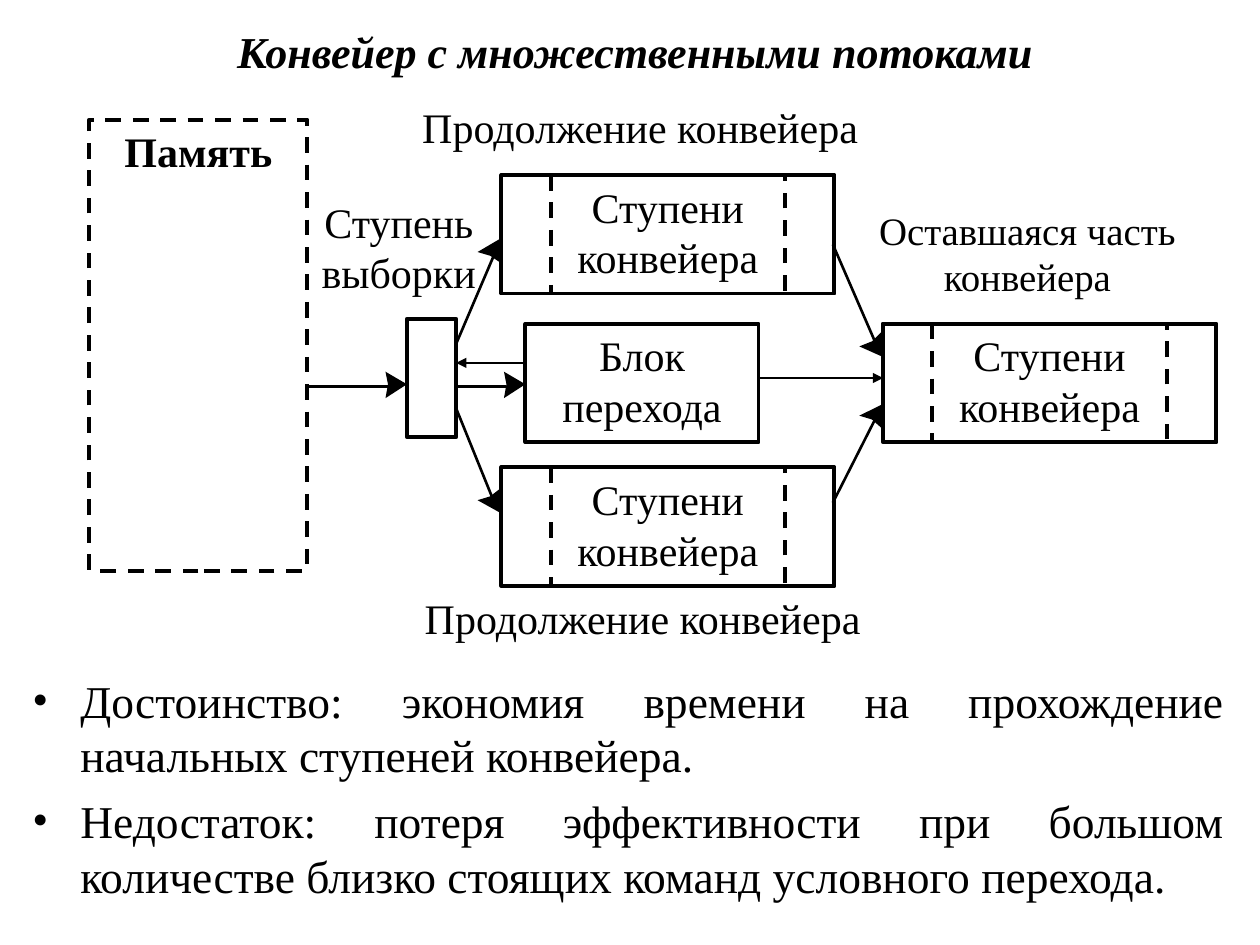
from lxml import etree
from pptx import Presentation
from pptx import util as u
from pptx.dml import color
from pptx.enum import dml, shapes, text
from pptx.oxml import ns

BLACK = "000000"
FONT = "Times New Roman"
BOX_HEIGHT = 0.94
END_WIDTH = 0.39
STAGES_WIDTH = 2.64


def rgb(value):
    return color.RGBColor.from_string(value)


def write(shape, lines, size=24, bold=False, italic=False, align=text.PP_ALIGN.CENTER):
    frame = shape.text_frame
    frame.word_wrap = True
    frame.vertical_anchor = text.MSO_ANCHOR.TOP
    frame.text = lines
    for paragraph in frame.paragraphs:
        paragraph.alignment = align
        for run in paragraph.runs:
            run.font.name = FONT
            run.font.size = u.Pt(size)
            run.font.bold = bold
            run.font.italic = italic
            run.font.color.rgb = rgb(BLACK)
    return frame


def add_label(slide, box, words, **style):
    return write(slide.shapes.add_textbox(*map(u.Inches, box)), words, **style)


def add_box(parent, box, words="", dashed=False, bold=False):
    shape = parent.shapes.add_shape(shapes.MSO_SHAPE.RECTANGLE, *map(u.Inches, box))
    shape.shadow.inherit = False
    shape.fill.background()
    shape.line.color.rgb = rgb(BLACK)
    shape.line.width = u.Pt(2.24)
    if dashed:
        shape.line.dash_style = dml.MSO_LINE.DASH
    if words:
        write(shape, words, bold=bold)


def add_stages(slide, left, top):
    group = slide.shapes.add_group_shape()
    add_box(group, (left, top, STAGES_WIDTH, BOX_HEIGHT), "Ступени конвейера")
    for end_left in (left, left + STAGES_WIDTH - END_WIDTH):
        add_box(group, (end_left, top, END_WIDTH, BOX_HEIGHT), dashed=True)


def add_line(slide, start, end, width=1.5, arrow=False):
    line = slide.shapes.add_connector(
        shapes.MSO_CONNECTOR.STRAIGHT, *map(u.Inches, start + end))
    line.line.color.rgb = rgb(BLACK)
    line.line.width = u.Pt(width)
    properties = line._element.spPr
    if arrow:
        outline = line.line._get_or_add_ln()
        etree.SubElement(outline, ns.qn("a:tailEnd"), type="triangle")
    etree.SubElement(properties, ns.qn("a:effectLst"))


def add_head(slide, points):
    corners = [tuple(map(u.Inches, point)) for point in points]
    builder = slide.shapes.build_freeform(*corners[0])
    builder.add_line_segments(corners[1:], close=True)
    head = builder.convert_to_shape()
    head.shadow.inherit = False
    head.fill.solid()
    head.fill.fore_color.rgb = rgb(BLACK)
    head.line.fill.background()


def add_thick_arrow(slide, left, right, y):
    add_line(slide, (left, y), (right - 0.15, y))
    base = right - 0.17
    add_head(slide, [(right, y - 0.02), (base, y + 0.09),
                     (base + 0.02, y - 0.02), (base, y - 0.12)])


def add_branches(slide):
    branches = [
        ((3.62, 2.73), (3.94, 1.98), [(3.96, 1.9), (3.79, 2), (3.89, 2.03), (3.98, 2.09)]),
        ((3.62, 3.24), (3.94, 4.03), [(3.97, 4.07), (3.79, 3.97), (3.89, 3.94), (3.98, 3.87)]),
        ((6.61, 1.94), (6.97, 2.77), [(7, 2.83), (7, 2.63), (6.92, 2.71), (6.82, 2.75)]),
        ((6.61, 3.99), (6.97, 3.28), [(7, 3.21), (7.01, 3.41), (6.92, 3.33), (6.82, 3.3)]),
    ]
    for start, end, head in branches:
        add_line(slide, start, end)
        add_head(slide, head)


def add_diagram(slide):
    add_box(slide, (0.71, 0.95, 1.73, 3.58), "Память", dashed=True, bold=True)
    add_box(slide, (3.23, 2.53, END_WIDTH, BOX_HEIGHT))
    add_box(slide, (4.17, 2.57, 1.85, BOX_HEIGHT), "Блок перехода")
    for left, top in ((3.98, 1.39), (7.01, 2.57), (3.98, 3.71)):
        add_stages(slide, left, top)
    add_branches(slide)
    add_thick_arrow(slide, 2.44, 3.23, 3.07)
    add_thick_arrow(slide, 3.62, 4.17, 3.07)
    add_line(slide, (4.17, 2.88), (3.62, 2.88), 0.74, arrow=True)
    add_line(slide, (6.02, 3), (7.01, 3), 0.74, arrow=True)
    add_label(slide, (2.24, 1.51, 1.85, 1.02), "Ступень выборки")
    add_label(slide, (6.58, 1.59, 3.15, 0.86), "Оставшаяся часть конвейера", size=22.2)
    add_label(slide, (3.19, 0.76, 3.78, 0.55), "Продолжение конвейера")
    add_label(slide, (3.11, 4.65, 3.98, 0.55), "Продолжение конвейера")


def add_title(slide, box, words):
    frame = add_label(slide, box, words, size=25.2, bold=True, italic=True)
    frame.vertical_anchor = text.MSO_ANCHOR.MIDDLE
    frame.paragraphs[0].line_spacing = 0.8


def add_bullets(slide, box, items):
    frame = add_label(slide, box, "\n".join(items), size=26, align=text.PP_ALIGN.JUSTIFY)
    for paragraph in frame.paragraphs:
        paragraph.space_before = u.Pt(6.5)
        properties = paragraph._p.get_or_add_pPr()
        properties.set("marL", str(u.Inches(0.38)))
        properties.set("indent", str(u.Inches(-0.38)))
        etree.SubElement(properties, ns.qn("a:buFont"), typeface=FONT)
        etree.SubElement(properties, ns.qn("a:buChar"), char="•")


presentation = Presentation()
presentation.slide_width = u.Inches(10)
presentation.slide_height = u.Inches(7.5)
slide = presentation.slides.add_slide(presentation.slide_layouts[6])
add_title(slide, (0.04, 0.17, 10, 0.55), "Конвейер с множественными потоками")
add_diagram(slide)
add_bullets(slide, (0.16, 5.29, 9.66, 1.97), [
    "Достоинство: экономия времени на прохождение начальных ступеней конвейера.",
    "Недостаток: потеря эффективности при большом количестве близко стоящих "
    "команд условного перехода.",
])
presentation.save("out.pptx")
